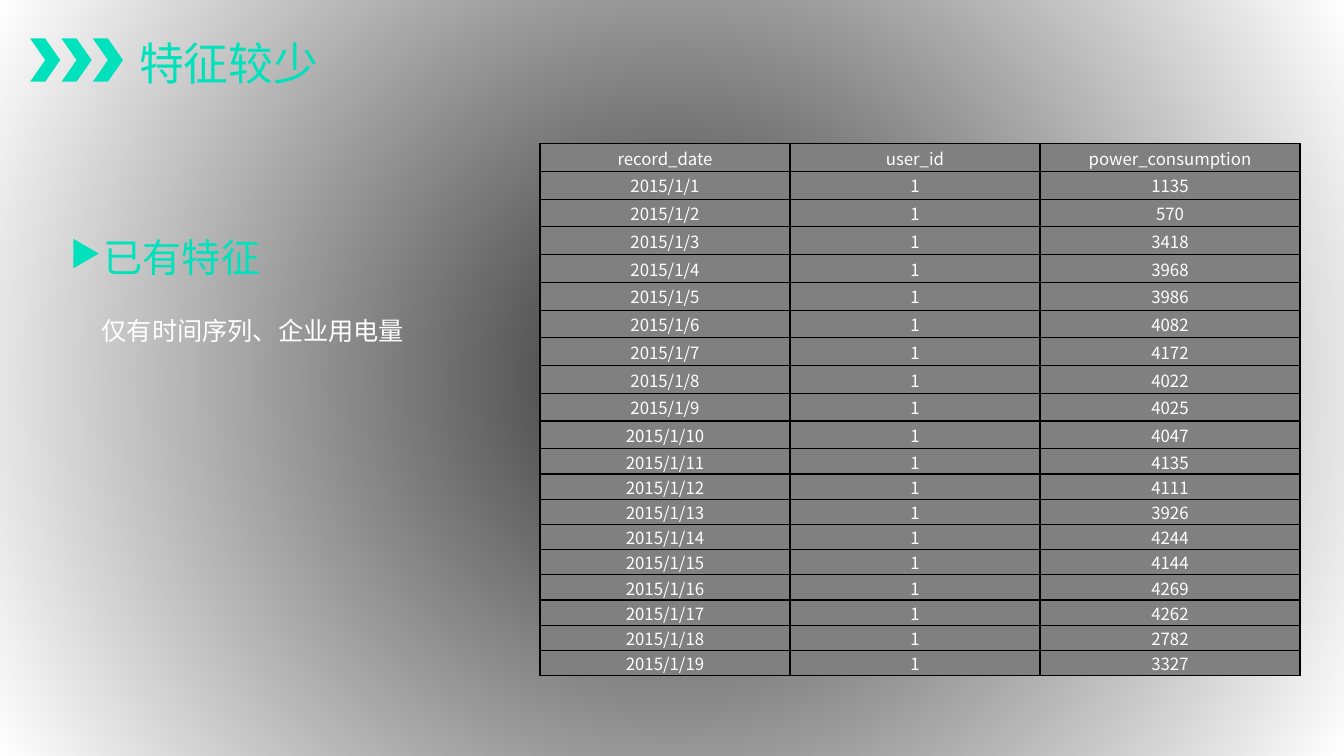
from dataclasses import dataclass

from lxml import etree
from pptx import Presentation
from pptx.dml.color import RGBColor
from pptx.enum.shapes import MSO_SHAPE as Preset
from pptx.enum.text import MSO_ANCHOR as Anchor, MSO_AUTO_SIZE as AutoSize, PP_ALIGN as Align
from pptx.oxml import parse_xml
from pptx.oxml.ns import nsdecls, qn
from pptx.util import Cm, Pt


@dataclass(frozen=True)
class Theme:
    """Colours, fonts and type sizes of the slide."""
    accent: str = "01E2BC"
    light: str = "FFFFFF"
    cell: str = "808080"
    dark: str = "000000"
    heading_font: str = "Noto Sans CJK JP"
    text_font: str = "Noto Sans CJK SC"
    title_size: int = 32
    heading_size: int = 28
    detail_size: int = 18
    table_size: int = 12


THEME = Theme()
HEADER = ("record_date", "user_id", "power_consumption")
CONSUMPTION = (1135, 570, 3418, 3968, 3986, 4082, 4172, 4022, 4025, 4047,
               4135, 4111, 3926, 4244, 4144, 4269, 4262, 2782, 3327)
COLUMN_WIDTHS = (6.3, 6.3, 6.55)
TALL_ROWS, TALL_HEIGHT, LOW_HEIGHT = 11, 0.7, 0.58


def add_run(paragraph, text, font_name, size, color):
    """Add one formatted run for both Latin and East Asian text."""
    run = paragraph.add_run()
    run.text = text
    run.font.name = font_name
    run.font.size = Pt(size)
    run.font.color.rgb = RGBColor.from_string(color)
    east_asian = etree.SubElement(run.font._element, qn("a:ea"))
    east_asian.set("typeface", font_name)


def fill_placeholder(holder, box, text, font_name, size, color, spacing=1.0, anchor=Anchor.TOP):
    """Move a placeholder and write one unbulleted line in it."""
    holder.left, holder.top, holder.width, holder.height = map(Cm, box)
    frame = holder.text_frame
    frame.word_wrap = True
    frame.auto_size = AutoSize.NONE
    frame.vertical_anchor = anchor
    line = frame.paragraphs[0]
    properties = line._p.get_or_add_pPr()
    properties.set("marL", "0")
    properties.set("indent", "0")
    etree.SubElement(properties, qn("a:buNone"))
    line.alignment = Align.LEFT
    line.line_spacing = spacing
    line.space_before = Pt(0)
    add_run(line, text, font_name, size, color)


def add_backdrop(slide, width, height):
    """Lay a radial dark glow behind everything else."""
    backdrop = slide.shapes.add_shape(Preset.RECTANGLE, 0, 0, width, height)
    backdrop.shadow.inherit = False
    backdrop.line.fill.background()
    stops = "".join(
        f'<a:gs pos="{position}"><a:srgbClr val="{THEME.dark}">'
        f'<a:alpha val="{alpha}"/></a:srgbClr></a:gs>'
        for position, alpha in ((0, 80000), (100000, 0)))
    glow = parse_xml(
        f'<a:gradFill {nsdecls("a")} rotWithShape="1"><a:gsLst>{stops}</a:gsLst>'
        '<a:path path="circle"><a:fillToRect l="50000" t="50000" r="50000" b="50000"/>'
        '</a:path></a:gradFill>')
    backdrop._element.spPr.find(qn("a:prstGeom")).addnext(glow)
    slide.shapes._spTree.insert(2, backdrop._element)


def add_marker(slide, preset, box, rotation=0):
    """Add a plain accent shape."""
    marker = slide.shapes.add_shape(preset, *map(Cm, box))
    marker.shadow.inherit = False
    marker.fill.solid()
    marker.fill.fore_color.rgb = RGBColor.from_string(THEME.accent)
    marker.line.fill.background()
    marker.rotation = rotation


def format_cell(cell, text):
    """Write a centred value in a grey cell with thin dark borders."""
    cell.margin_left = cell.margin_top = cell.margin_right = Cm(0.02)
    cell.margin_bottom = 0
    cell.vertical_anchor = Anchor.MIDDLE
    borders = cell._tc.get_or_add_tcPr()
    for side in ("lnL", "lnR", "lnT", "lnB"):
        borders.append(parse_xml(
            f'<a:{side} {nsdecls("a")} w="{Pt(1)}"><a:solidFill>'
            f'<a:srgbClr val="{THEME.dark}"/></a:solidFill></a:{side}>'))
    cell.fill.solid()
    cell.fill.fore_color.rgb = RGBColor.from_string(THEME.cell)
    line = cell.text_frame.paragraphs[0]
    line.alignment = Align.CENTER
    add_run(line, text, THEME.text_font, THEME.table_size, THEME.light)


def add_usage_table(slide):
    """Add the daily power consumption records."""
    records = [HEADER] + [(f"2015/1/{day}", "1", str(usage))
                          for day, usage in enumerate(CONSUMPTION, 1)]
    heights = [TALL_HEIGHT if index < TALL_ROWS else LOW_HEIGHT for index in range(len(records))]
    table = slide.shapes.add_table(
        len(records), len(HEADER), Cm(13.61), Cm(3.62),
        Cm(sum(COLUMN_WIDTHS)), Cm(sum(heights))).table
    table.first_row = table.horz_banding = False
    for column, width in zip(table.columns, COLUMN_WIDTHS):
        column.width = Cm(width)
    for row, height, record in zip(table.rows, heights, records):
        row.height = Cm(height)
        for cell, value in zip(row.cells, record):
            format_cell(cell, value)


def main():
    """Build the slide and save it."""
    deck = Presentation()
    deck.slide_width, deck.slide_height = Cm(33.87), Cm(19.05)
    slide = deck.slides.add_slide(deck.slide_layouts[3])
    title, heading, detail = slide.placeholders
    add_backdrop(slide, deck.slide_width, deck.slide_height)
    fill_placeholder(title, (3.25, 0.76, 11.91, 1.63), "特征较少",
                     THEME.heading_font, THEME.title_size, THEME.accent, anchor=Anchor.MIDDLE)
    fill_placeholder(heading, (2.36, 5.99, 8.61, 2.18), "已有特征",
                     THEME.heading_font, THEME.heading_size, THEME.accent, 0.8)
    fill_placeholder(detail, (2.31, 7.59, 10.39, 1.24), "仅有时间序列、企业用电量",
                     THEME.text_font, THEME.detail_size, THEME.light, 1.3)
    for position in range(3):
        add_marker(slide, Preset.CHEVRON, (0.76 + 0.79 * position, 0.97, 0.76, 1.09))
    add_marker(slide, Preset.ISOSCELES_TRIANGLE, (1.8, 6.07, 0.74, 0.64), 90)
    add_usage_table(slide)
    deck.save("out.pptx")


if __name__ == "__main__":
    main()
